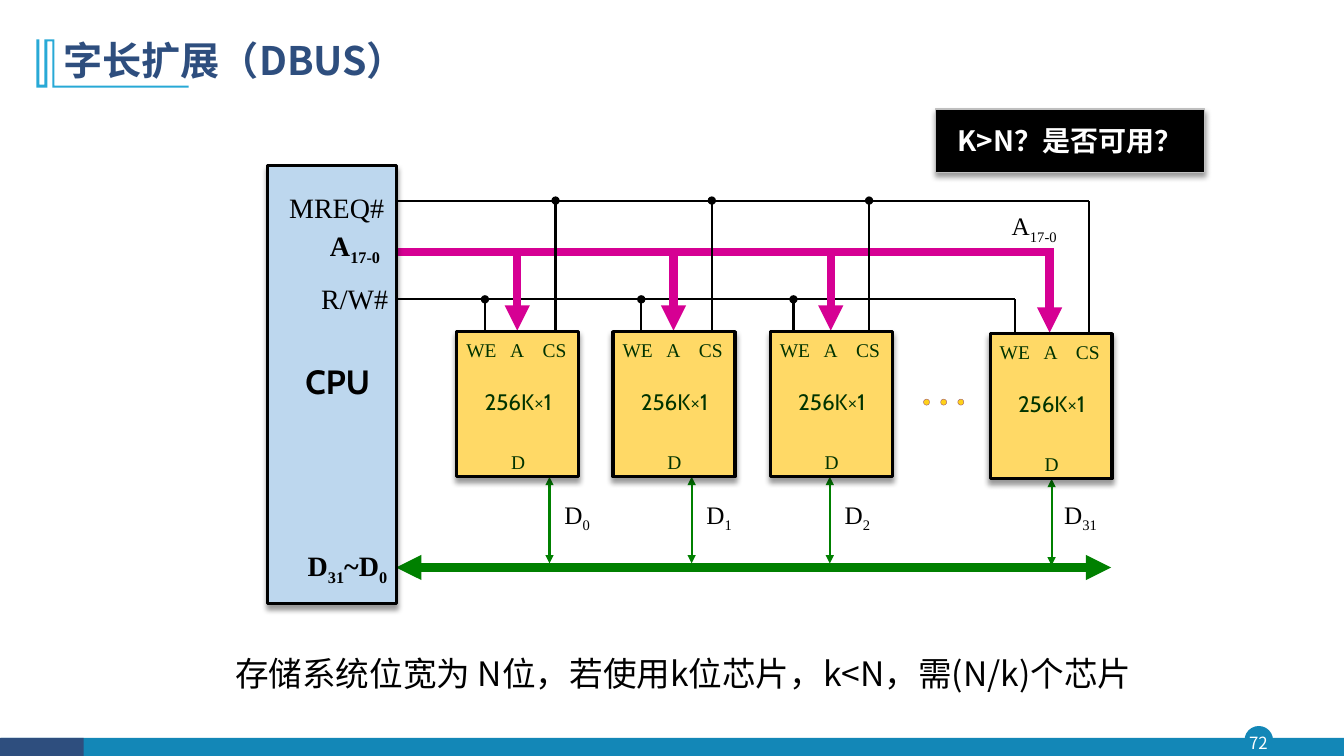
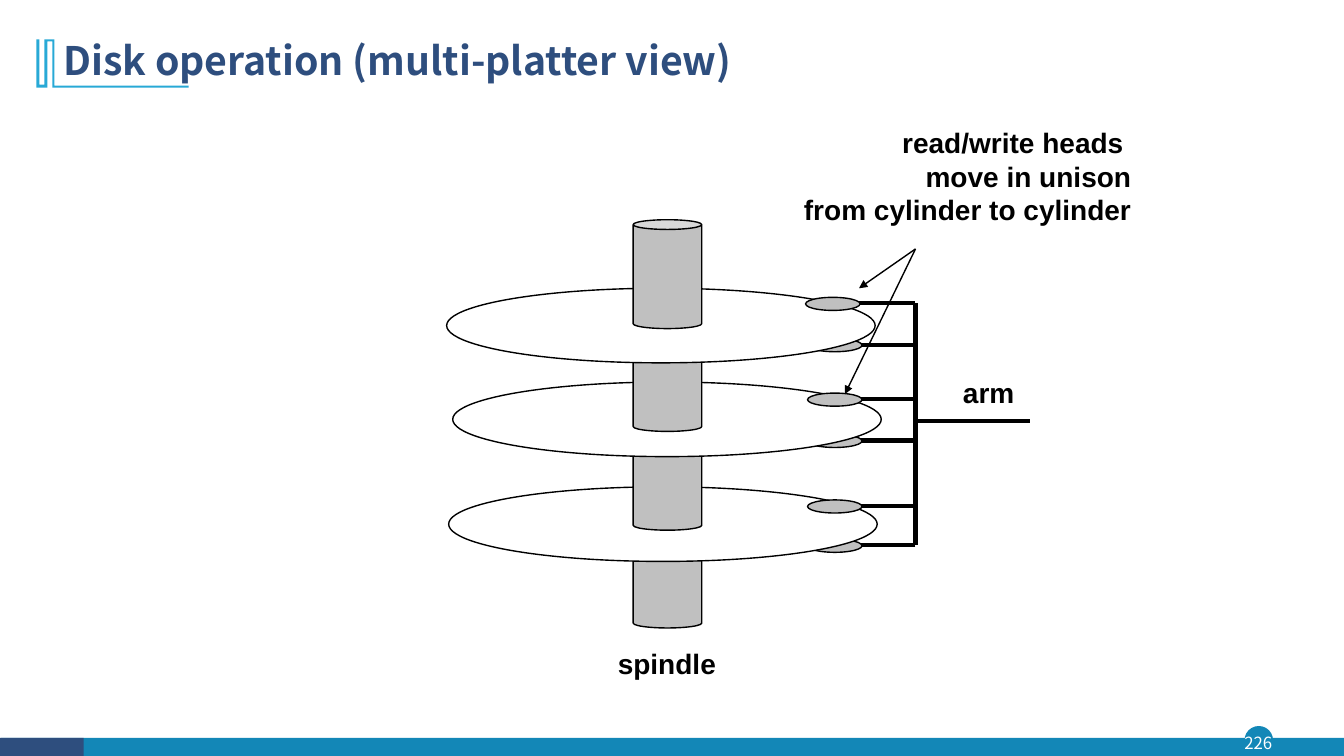
import pptx
import pptx.dml.color
import pptx.enum.shapes
import pptx.enum.text
import pptx.oxml
import pptx.oxml.ns
import pptx.util

Inches = pptx.util.Inches
Pt = pptx.util.Pt
RGBColor = pptx.dml.color.RGBColor
SHAPE = pptx.enum.shapes.MSO_SHAPE
ALIGN = pptx.enum.text.PP_ALIGN
ANCHOR = pptx.enum.text.MSO_ANCHOR
qn = pptx.oxml.ns.qn

BLACK = RGBColor(0x00, 0x00, 0x00)
WHITE = RGBColor(0xFF, 0xFF, 0xFF)
NAVY = RGBColor(0x2E, 0x4E, 0x7E)
TEAL = RGBColor(0x13, 0x87, 0xB7)
SKY = RGBColor(0x28, 0xA9, 0xD6)
CPU_BLUE = RGBColor(0xBD, 0xD7, 0xEE)
CHIP_YELLOW = RGBColor(0xFF, 0xD9, 0x66)
CHIP_TEXT = RGBColor(0x00, 0x33, 0x00)
DOT_YELLOW = RGBColor(0xFF, 0xCC, 0x00)
DOT_EDGE = RGBColor(0x95, 0x4F, 0x72)
ADDRESS_PINK = RGBColor(0xD6, 0x00, 0x93)
DATA_GREEN = RGBColor(0x00, 0x80, 0x00)
CALLOUT_EDGE = RGBColor(0xBF, 0xBF, 0xBF)
METAL = RGBColor(0xC0, 0xC0, 0xC0)

SANS = "Noto Sans CJK SC"
SERIF = "Times New Roman"
CABIN = "Cabin"
ARIAL = "Arial"

SUBSCRIPT = -25
RAISED = 30
DEFAULT_INSETS = (0.1, 0.05)
TIGHT = (0.01, 0.01)

# Corners of the title ornament, in hundredths of an inch
ORNAMENT = [(54, 39), (54, 85), (187, 85), (187, 87), (52, 87), (52, 41),
            (47, 41), (47, 87), (36, 87), (36, 39), (39, 39), (39, 84),
            (44, 84), (44, 39)]


def add_xml(parent, tag, **attributes):
    child = parent.makeelement(qn(tag), attributes)
    parent.append(child)
    return child


def write(shape, lines, size, font, color=BLACK, bold=False, align=ALIGN.LEFT,
          anchor=ANCHOR.TOP, insets=DEFAULT_INSETS, wrap=True, spacing=None):
    """Fill a shape with lines; each line is a list of (text, baseline %) runs."""
    frame = shape.text_frame
    frame.word_wrap = wrap
    frame.vertical_anchor = anchor
    frame.margin_left = frame.margin_right = Inches(insets[0])
    frame.margin_top = frame.margin_bottom = Inches(insets[1])
    for number, runs in enumerate(lines):
        paragraph = frame.add_paragraph() if number else frame.paragraphs[0]
        paragraph.alignment = align
        paragraph.line_spacing = spacing
        for text, baseline in runs:
            run = paragraph.add_run()
            run.text = text
            run.font.size = Pt(size)
            run.font.name = font
            run.font.bold = bold
            run.font.color.rgb = color
            properties = run.font._element
            add_xml(properties, "a:ea", typeface=font)
            if baseline:
                properties.set("baseline", str(baseline * 1000))


def add_text(slide, box, lines, size, font, **style):
    """Add a text box; a plain string stands for one line with one run."""
    if isinstance(lines, str):
        lines = [[(lines, 0)]]
    write(slide.shapes.add_textbox(*map(Inches, box)), lines, size, font, **style)


def add_shape(slide, kind, box, fill, edge=None, width=1.0, shadow=False, alpha=None):
    shape = slide.shapes.add_shape(kind, *map(Inches, box))
    paint(shape, fill, edge, width)
    if shadow:
        effects = shape.element.spPr.find(qn("a:effectLst"))
        drop = add_xml(effects, "a:outerShdw", blurRad=str(Pt(4)), dist=str(Pt(3)),
                       dir="5400000", algn="t", rotWithShape="0")
        black = add_xml(drop, "a:srgbClr", val=str(BLACK))
        add_xml(black, "a:alpha", val="40000")
    if alpha:
        fill_color = shape.element.spPr.find(qn("a:solidFill"))[0]
        add_xml(fill_color, "a:alpha", val=str(alpha * 1000))
    return shape


def paint(shape, fill, edge=None, width=1.0):
    shape.shadow.inherit = False
    shape.fill.solid()
    shape.fill.fore_color.rgb = fill
    if edge is None:
        shape.line.fill.background()
    else:
        shape.line.color.rgb = edge
        shape.line.width = Pt(width)


def add_line(slide, start, end, color=BLACK, width=1.5, head=None, tail=None):
    line = slide.shapes.add_connector(
        pptx.enum.shapes.MSO_CONNECTOR.STRAIGHT, *map(Inches, start + end))
    line.line.color.rgb = color
    line.line.width = Pt(width)
    properties = line.element.spPr
    outline = properties.find(qn("a:ln"))
    if head:
        add_xml(outline, "a:headEnd", type=head)
    if tail:
        add_xml(outline, "a:tailEnd", type=tail)
    add_xml(properties, "a:effectLst")


def add_framed_slide(deck, title, page):
    """Add a slide with the shared footer, ornament and title."""
    slide = deck.slides.add_slide(deck.slide_layouts[6])
    add_shape(slide, SHAPE.OVAL, (12.35, 7.21, 0.27, 0.27), TEAL, TEAL)
    add_shape(slide, SHAPE.RECTANGLE, (0.01, 7.32, 13.32, 0.19), TEAL)
    add_shape(slide, SHAPE.RECTANGLE, (0, 7.32, 0.83, 0.19), NAVY)
    add_text(slide, (12.32, 7.21, 0.32, 0.31), page, 12, SANS, color=WHITE,
             align=ALIGN.CENTER, anchor=ANCHOR.MIDDLE, insets=(0, 0))
    outline = slide.shapes.build_freeform(*ORNAMENT[0], scale=Inches(0.01))
    outline.add_line_segments(ORNAMENT[1:], close=True)
    paint(outline.convert_to_shape(), SKY)
    add_text(slide, (0.53, 0.28, 11.5, 0.68), title, 28, SANS, color=NAVY,
             bold=True, anchor=ANCHOR.MIDDLE, spacing=0.9)
    return slide


def add_chip(slide, left, top):
    add_shape(slide, SHAPE.RECTANGLE, (left, top, 1.21, 1.44), CHIP_YELLOW, BLACK,
              2.25, shadow=True)
    for pin, dx, dy, width in (("WE", -0.03, -0.03, 0.55), ("A", 0.42, -0.03, 0.36),
                               ("CS", 0.73, -0.03, 0.48), ("D", 0.43, 1.09, 0.36)):
        add_text(slide, (left + dx, top + dy, width, 0.5), [[(pin, RAISED)]], 24,
                 SERIF, color=CHIP_TEXT, align=ALIGN.CENTER, wrap=False)
    add_text(slide, (left - 0.02, top + 0.51, 1.26, 0.37), "256K×1", 16, CABIN,
             color=CHIP_TEXT, align=ALIGN.CENTER)


def add_cpu(slide):
    add_shape(slide, SHAPE.RECTANGLE, (2.65, 1.64, 1.28, 4.35), CPU_BLUE, BLACK,
              2.25, shadow=True)
    address = [[("A", 0), ("17-0", SUBSCRIPT)]]
    data = [[("D", 0), ("31", SUBSCRIPT), ("~D", 0), ("0", SUBSCRIPT)]]
    for lines, left, top, size, font, bold in (
            ("MREQ#", 2.7, 1.88, 20, SERIF, False),
            (address, 2.66, 2.26, 20, SERIF, True),
            ("R/W#", 2.74, 2.78, 20, SERIF, False),
            ("CPU", 2.56, 3.57, 24, CABIN, True),
            (data, 2.73, 5.43, 20, SERIF, True)):
        add_text(slide, (left, top, 1.12, 0.56), lines, size, font, bold=bold,
                 align=ALIGN.RIGHT, insets=TIGHT)


def build_word_extension(deck):
    slide = add_framed_slide(deck, "字长扩展（DBUS）", "72")
    mreq, address, rw, data = 1.99, 2.5, 2.97, 5.63
    # Chip left and top, WE tap, data line, data label left, data bit
    chips = [(4.53, 3.29, 4.81, 5.45, 5.43, "0"),
             (6.08, 3.29, 6.36, 6.86, 6.84, "1"),
             (7.64, 3.29, 7.87, 8.23, 8.21, "2"),
             (9.82, 3.31, 10.07, 10.43, 10.46, "31")]
    last = chips[-1]

    add_line(slide, (3.88, rw), (last[2], rw))
    for chip in chips:
        add_line(slide, (chip[2], 3.47), (chip[2], rw),
                 tail=None if chip is last else "oval")
    add_text(slide, (9.5, 2.08, 0.99, 0.49), [[("A", 0), ("17-0", SUBSCRIPT)]], 18,
             SERIF, align=ALIGN.RIGHT, insets=TIGHT)
    add_line(slide, (3.89, address), (last[0] + 0.63, address), ADDRESS_PINK, 6)
    add_line(slide, (3.93, data), (11.02, data), DATA_GREEN, 6, "triangle", "triangle")
    add_line(slide, (3.88, mreq), (last[0] + 0.98, mreq))

    for chip in chips:
        left, top, _, data_x, label_left, bit = chip
        address_x = left + (0.59 if chip is last else 0.6)
        bus_top = address if chip is last else address + 0.03
        add_line(slide, (address_x, bus_top), (address_x, top - 0.01), ADDRESS_PINK, 6,
                 tail="triangle")
        add_line(slide, (left + 0.98, 3.43), (left + 0.98, mreq),
                 tail=None if chip is last else "oval")
        add_line(slide, (data_x, top + 1.44), (data_x, top + 2.3), DATA_GREEN,
                 head="triangle", tail="triangle")
        add_text(slide, (label_left, 4.94, 0.43, 0.49), [[("D", 0), (bit, SUBSCRIPT)]],
                 18, SERIF, align=ALIGN.RIGHT, insets=TIGHT)
        add_chip(slide, left, top)

    for index in range(3):
        add_shape(slide, SHAPE.OVAL, (9.16 + 0.17 * index, 3.96, 0.06, 0.06),
                  DOT_YELLOW, DOT_EDGE, 0.25, alpha=90)
    add_cpu(slide)
    add_text(slide, (2.03, 6.43, 9.29, 0.9),
             "存储系统位宽为 N位，若使用k位芯片，k<N，需(N/k)个芯片", 24, SANS,
             align=ALIGN.RIGHT)
    question = add_shape(slide, SHAPE.RECTANGLE, (9.28, 1.08, 2.67, 0.63), BLACK,
                         CALLOUT_EDGE, shadow=True)
    write(question, [[("K>N？是否可用？", 0)]], 20, SANS, color=WHITE, bold=True,
          align=ALIGN.CENTER, anchor=ANCHOR.MIDDLE)


def add_spindle_part(slide, top):
    part = add_shape(slide, SHAPE.CAN, (6.28, top, 0.68, 1.08), METAL, BLACK)
    part.adjustments[0] = 0.142


def add_head(slide, left, y, arm_x):
    """Add a read/write head and the rod that joins it to the arm."""
    add_line(slide, (arm_x, y), (8.26, y), width=3)
    add_shape(slide, SHAPE.OVAL, (left, y - 0.06, 0.54, 0.13), METAL, BLACK)


def build_disk_operation(deck):
    slide = add_framed_slide(deck, "Disk operation (multi-platter view)", "226")
    arm_x = 9.08
    # Bottom up: platter left and top, spindle top, lower head y, upper head left and y
    for left, top, spindle_top, lower_y, upper_left, upper_y in (
            (4.45, 4.83, 5.15, 5.41, 8.01, 5.02),
            (4.49, 3.79, 4.18, 4.37, 8.01, 3.96),
            (4.43, 2.86, 3.2, 3.42, 7.99, 3.01)):
        add_head(slide, 8.01, lower_y, arm_x)
        add_spindle_part(slide, spindle_top)
        add_shape(slide, SHAPE.OVAL, (left, top, 4.25, 0.74), WHITE, BLACK)
        add_head(slide, upper_left, upper_y, arm_x)
    add_spindle_part(slide, 2.18)
    add_line(slide, (arm_x, 3.01), (arm_x, 5.41), width=3)
    add_line(slide, (arm_x, 4.18), (10.22, 4.18), width=3)
    for tip in ((8.52, 2.86), (8.38, 3.91)):
        add_line(slide, (arm_x, 2.47), tip, width=1, tail="triangle")

    heads = [[("read/write heads ", 0)], [("move in unison", 0)],
             [("from cylinder to cylinder", 0)]]
    for lines, box in ((heads, (7.85, 1.19, 3.47, 1.11)),
                       ("arm", (9.45, 3.67, 0.71, 0.44)),
                       ("spindle", (6.02, 6.36, 1.18, 0.44))):
        add_text(slide, box, lines, 20, ARIAL, bold=True, align=ALIGN.RIGHT,
                 anchor=ANCHOR.MIDDLE, wrap=False)


def main():
    deck = pptx.Presentation()
    deck.slide_width = Inches(13.33)
    deck.slide_height = Inches(7.5)
    build_word_extension(deck)
    build_disk_operation(deck)
    deck.save("out.pptx")


if __name__ == "__main__":
    main()
